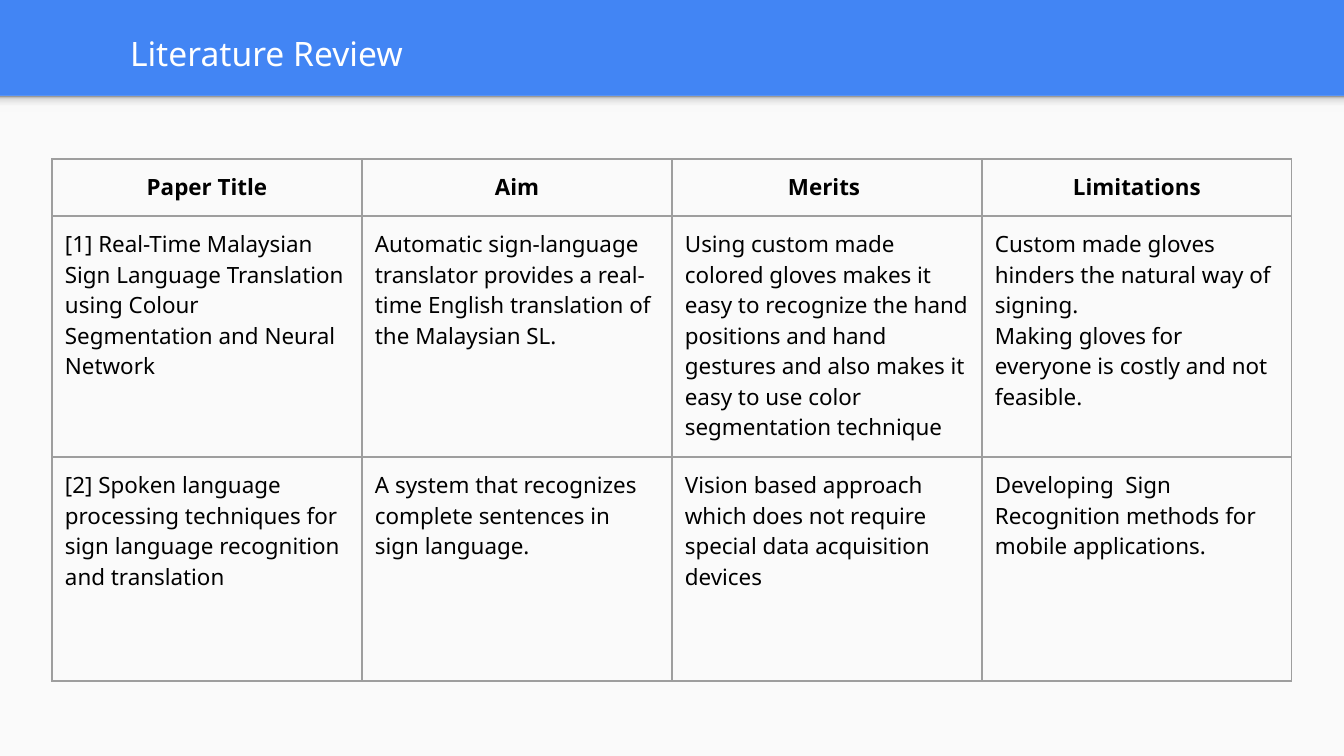
from lxml.etree import SubElement
from pptx import Presentation
from pptx.dml.color import RGBColor
from pptx.enum.shapes import MSO_SHAPE
from pptx.enum.text import MSO_ANCHOR, MSO_AUTO_SIZE, PP_ALIGN
from pptx.oxml.ns import qn
from pptx.util import Emu, Pt

TITLE = "Literature Review"
HEADINGS = ["Paper Title", "Aim", "Merits ", "Limitations"]
PAPERS = [
    [
        ["[1] Real-Time Malaysian Sign Language Translation using Colour Segmentation and Neural Network"],
        ["Automatic sign-language translator provides a real-time English translation of the Malaysian SL."],
        ["Using custom made colored gloves makes it easy to recognize the hand positions and hand "
         "gestures and also makes it easy to use color segmentation technique"],
        ["Custom made gloves hinders the natural way of signing.",
         "Making gloves for everyone is costly and not feasible."],
    ],
    [
        ["[2] Spoken language processing techniques for sign language recognition and translation"],
        ["A system that recognizes complete sentences in sign language."],
        ["Vision based approach which does not require special data acquisition devices"],
        ["Developing  Sign Recognition methods for mobile applications."],
    ],
]

FONT = "Noto Sans"
BLUE = RGBColor(0x42, 0x85, 0xF4)
PAPER = RGBColor(0xFA, 0xFA, 0xFA)
WHITE = RGBColor(0xFF, 0xFF, 0xFF)
BLACK = RGBColor(0, 0, 0)
GRID = RGBColor(0x9E, 0x9E, 0x9E)
SHADOW_STOPS = [
    (0, RGBColor(0xF9, 0xF9, 0xF9)),
    (36, RGBColor(0xF9, 0xF9, 0xF9)),
    (80, RGBColor(0xDE, 0xDE, 0xDE)),
    (100, RGBColor(0x99, 0x99, 0x99)),
]

WIDTH, HEIGHT = 1344, 756
BANNER = 96
SHADOW = 16
INSET = 13
TABLE_LEFT, TABLE_TOP = 52, 159
COLUMN = 310
ROWS = [57, 241, 224]


def px(length):
    return Emu(round(length * 914400 / 134.4))


def add_band(page, top, height):
    band = page.shapes.add_shape(MSO_SHAPE.RECTANGLE, 0, px(top), px(WIDTH), px(height))
    band.shadow.inherit = False
    band.line.fill.background()
    return band


def fill_gradient(shape, stops):
    shape.fill.gradient()
    shape.fill.gradient_angle = 90
    stop_list = shape._element.spPr.find(qn("a:gradFill")).find(qn("a:gsLst"))
    stop_list.clear()
    for position, color in stops:
        stop = SubElement(stop_list, qn("a:gs"), pos=str(position * 1000))
        SubElement(stop, qn("a:srgbClr"), val=str(color))


def write(paragraph, text, size, color, bold=False):
    span = paragraph.add_run()
    span.text = text
    span.font.name = FONT
    span.font.size = Pt(size)
    span.font.bold = bold
    span.font.color.rgb = color


def set_insets(target):
    target.margin_left = target.margin_right = px(INSET)
    target.margin_top = target.margin_bottom = px(INSET)


def add_borders(cell):
    properties = cell._tc.get_or_add_tcPr()
    for position, side in enumerate(("a:lnL", "a:lnR", "a:lnT", "a:lnB")):
        border = properties.makeelement(qn(side), {"w": str(Pt(0.75))})
        fill = SubElement(border, qn("a:solidFill"))
        SubElement(fill, qn("a:srgbClr"), val=str(GRID))
        properties.insert(position, border)


def fill_cell(cell, lines, heading):
    cell.fill.background()
    set_insets(cell)
    add_borders(cell)
    for number, line in enumerate(lines):
        frame = cell.text_frame
        paragraph = frame.add_paragraph() if number else frame.paragraphs[0]
        paragraph.alignment = PP_ALIGN.CENTER if heading else PP_ALIGN.LEFT
        write(paragraph, line, 12, BLACK, heading)


def add_title(page):
    title = page.shapes.title
    title.left, title.top, title.width, title.height = px(117), px(9), px(1051), px(89)
    frame = title.text_frame
    frame.auto_size = MSO_AUTO_SIZE.NONE
    frame.word_wrap = True
    frame.vertical_anchor = MSO_ANCHOR.MIDDLE
    set_insets(frame)
    frame.paragraphs[0].alignment = PP_ALIGN.LEFT
    write(frame.paragraphs[0], TITLE, 18, WHITE)


def add_review(page):
    content = [[[heading] for heading in HEADINGS]] + PAPERS
    table = page.shapes.add_table(
        len(ROWS), len(HEADINGS), px(TABLE_LEFT), px(TABLE_TOP),
        px(COLUMN * len(HEADINGS)), px(sum(ROWS))).table
    table.first_row = table.horz_banding = False
    for column in table.columns:
        column.width = px(COLUMN)
    for r, (height, cells) in enumerate(zip(ROWS, content)):
        table.rows[r].height = px(height)
        for c, lines in enumerate(cells):
            fill_cell(table.cell(r, c), lines, r == 0)


def main():
    deck = Presentation()
    deck.slide_width, deck.slide_height = px(WIDTH), px(HEIGHT)
    page = deck.slides.add_slide(deck.slide_layouts[5])
    page.background.fill.solid()
    page.background.fill.fore_color.rgb = BLUE
    panel = add_band(page, BANNER, HEIGHT - BANNER)
    panel.fill.solid()
    panel.fill.fore_color.rgb = PAPER
    fill_gradient(add_band(page, BANNER, SHADOW), SHADOW_STOPS)
    add_title(page)
    add_review(page)
    deck.save("out.pptx")


if __name__ == "__main__":
    main()
